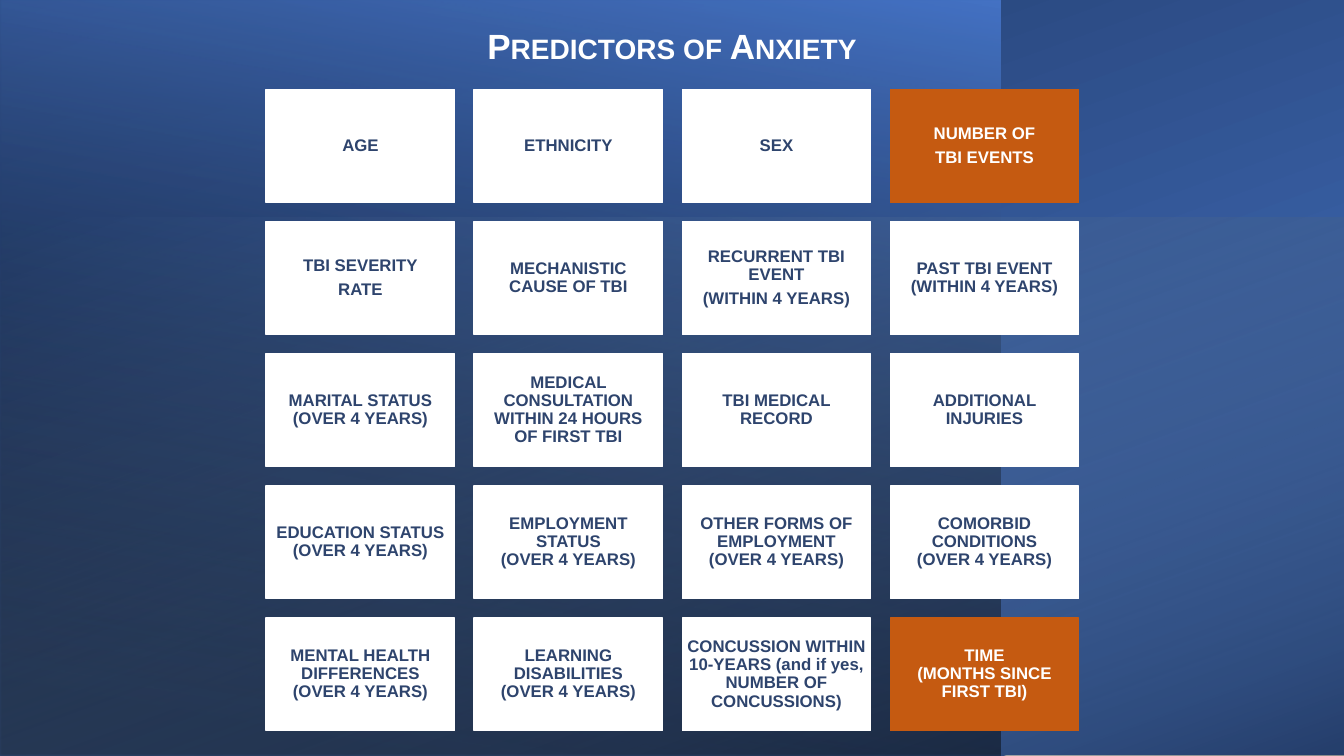
from lxml import etree
from pptx import Presentation
from pptx.dml.color import RGBColor
from pptx.enum.shapes import MSO_SHAPE
from pptx.enum.text import MSO_ANCHOR, PP_ALIGN
from pptx.oxml.ns import qn
from pptx.util import Inches, Pt

RECT = MSO_SHAPE.RECTANGLE
MIDDLE = MSO_ANCHOR.MIDDLE
CENTER = PP_ALIGN.CENTER

COLORS = {
    "white": "FFFFFF",
    "ink": "2E446D",
    "orange": "C55A11",
    "blue": "4472C4",
    "navy": "203864",
    "sky": "9DC3E6",
    "black": "000000",
}

# Box, rotation, gradient angle, stops of (position %, colour, opacity %)
LAYERS = [
    ((2.92, -2.92, 7.5, 13.33), 270, 200,
     [(8, "blue", 100), (100, "navy", 100)]),
    ((0, 0, 9.92, 7.5), 180, 80,
     [(8, "black", 52), (100, "blue", 100)]),
    ((3.99, -1.84, 5.35, 13.34), 270, 20,
     [(0, "sky", 0), (100, "black", 46)]),
]

# "/" starts a paragraph, "|" breaks a line
CARDS = [
    ["AGE", "ETHNICITY", "SEX", "NUMBER OF/TBI EVENTS"],
    ["TBI SEVERITY/RATE", "MECHANISTIC CAUSE OF TBI",
     "RECURRENT TBI EVENT/(WITHIN 4 YEARS)",
     "PAST TBI EVENT (WITHIN 4 YEARS)"],
    ["MARITAL STATUS (OVER 4 YEARS)",
     "MEDICAL CONSULTATION WITHIN 24 HOURS|OF FIRST TBI",
     "TBI MEDICAL RECORD", "ADDITIONAL INJURIES"],
    ["EDUCATION STATUS (OVER 4 YEARS)",
     "EMPLOYMENT STATUS|(OVER 4 YEARS)",
     "OTHER FORMS OF EMPLOYMENT|(OVER 4 YEARS)",
     "COMORBID CONDITIONS|(OVER 4 YEARS)"],
    ["MENTAL HEALTH DIFFERENCES|(OVER 4 YEARS)",
     "LEARNING DISABILITIES|(OVER 4 YEARS)",
     "CONCUSSION WITHIN 10-YEARS (and if yes, NUMBER OF CONCUSSIONS)",
     "TIME|(MONTHS SINCE FIRST TBI)"],
]
MARKED = {(0, 3), (4, 3)}


def rgb(name):
    return RGBColor.from_string(COLORS[name])


def assign(target, values):
    for name, value in values.items():
        setattr(target, name, value)


def add_run(para, text, size, color):
    run = para.add_run()
    run.text = text
    assign(run.font, {"name": "Arial", "size": Pt(size), "bold": True})
    run.font.color.rgb = rgb(color)
    return run


def add_rect(slide, box):
    shape = slide.shapes.add_shape(RECT, *map(Inches, box))
    shape.shadow.inherit = False
    return shape


def fade(shape, angle, stops):
    """Fill the shape with a linear gradient of translucent stops."""
    shape.fill.background()
    props = shape._element.spPr
    grad = etree.Element(qn("a:gradFill"), rotWithShape="1")
    group = etree.SubElement(grad, qn("a:gsLst"))
    for place, color, alpha in stops:
        stop = etree.SubElement(group, qn("a:gs"), pos=str(place * 1000))
        tint = etree.SubElement(stop, qn("a:srgbClr"), val=COLORS[color])
        if alpha < 100:
            etree.SubElement(tint, qn("a:alpha"), val=str(alpha * 1000))
    etree.SubElement(grad, qn("a:lin"), ang=str(angle * 60000), scaled="0")
    props.replace(props.find(qn("a:noFill")), grad)


def add_backdrop(slide):
    for box, turn, angle, stops in LAYERS:
        layer = add_rect(slide, box)
        layer.rotation = turn
        layer._element.spPr.find(qn("a:xfrm")).set("flipH", "1")
        layer.line.fill.background()
        fade(layer, angle, stops)


def add_title(slide, box, text):
    frame = slide.shapes.add_textbox(*map(Inches, box)).text_frame
    frame.word_wrap = True
    para = frame.paragraphs[0]
    para.alignment = CENTER
    run = add_run(para, text, 25, "white")
    run.font._element.set("cap", "small")


def add_card(slide, box, text, fill, ink):
    card = add_rect(slide, box)
    card.fill.solid()
    card.fill.fore_color.rgb = rgb(fill)
    card.line.color.rgb = rgb(fill)
    card.line.width = Pt(1)
    frame = card.text_frame
    pad = Inches(0.05)
    assign(frame, {"word_wrap": True, "vertical_anchor": MIDDLE,
                   "margin_left": pad, "margin_right": pad,
                   "margin_top": pad, "margin_bottom": pad})
    for i, block in enumerate(text.split("/")):
        para = frame.add_paragraph() if i else frame.paragraphs[0]
        assign(para, {"alignment": CENTER, "line_spacing": 0.9,
                      "space_after": Pt(4.2)})
        for j, line in enumerate(block.split("|")):
            if j:
                para.add_line_break()
            add_run(para, line, 12, ink)


def add_grid(slide, box, card_w, card_h):
    """Spread the cards evenly so that they fill the box."""
    left, top, width, height = box
    step_x = (width - card_w) / (len(CARDS[0]) - 1)
    step_y = (height - card_h) / (len(CARDS) - 1)
    for r, row in enumerate(CARDS):
        for c, text in enumerate(row):
            spot = (left + c * step_x, top + r * step_y, card_w, card_h)
            pair = ("orange", "white") if (r, c) in MARKED else ("white", "ink")
            add_card(slide, spot, text, *pair)


def main():
    deck = Presentation()
    deck.slide_width, deck.slide_height = Inches(13.33), Inches(7.5)
    slide = deck.slides.add_slide(deck.slide_layouts[6])
    add_backdrop(slide)
    add_title(slide, (0.71, 0.19, 11.91, 0.52), "Predictors of Anxiety")
    add_grid(slide, (2.64, 0.89, 8.06, 6.36), 1.87, 1.12)
    deck.save("out.pptx")


if __name__ == "__main__":
    main()
